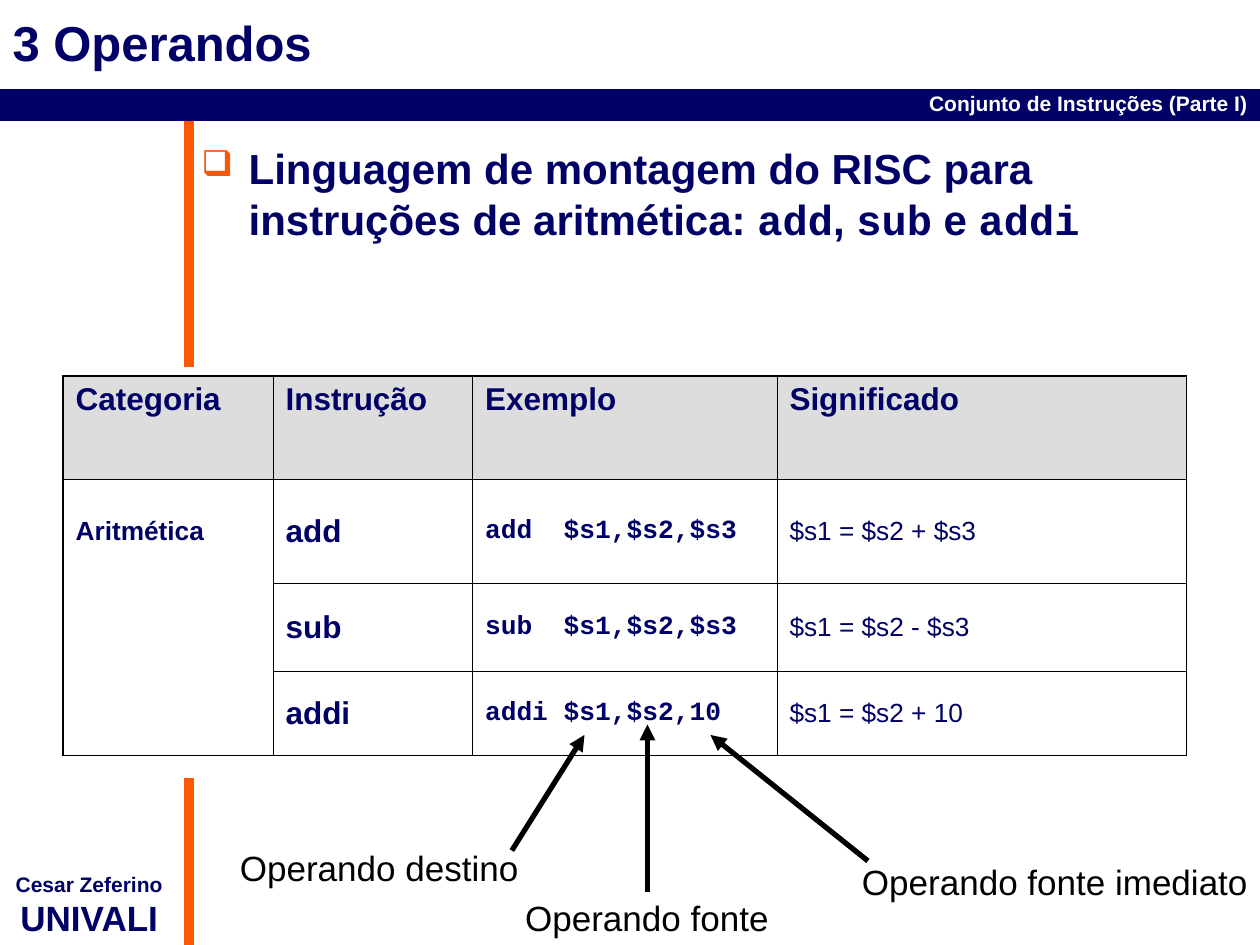
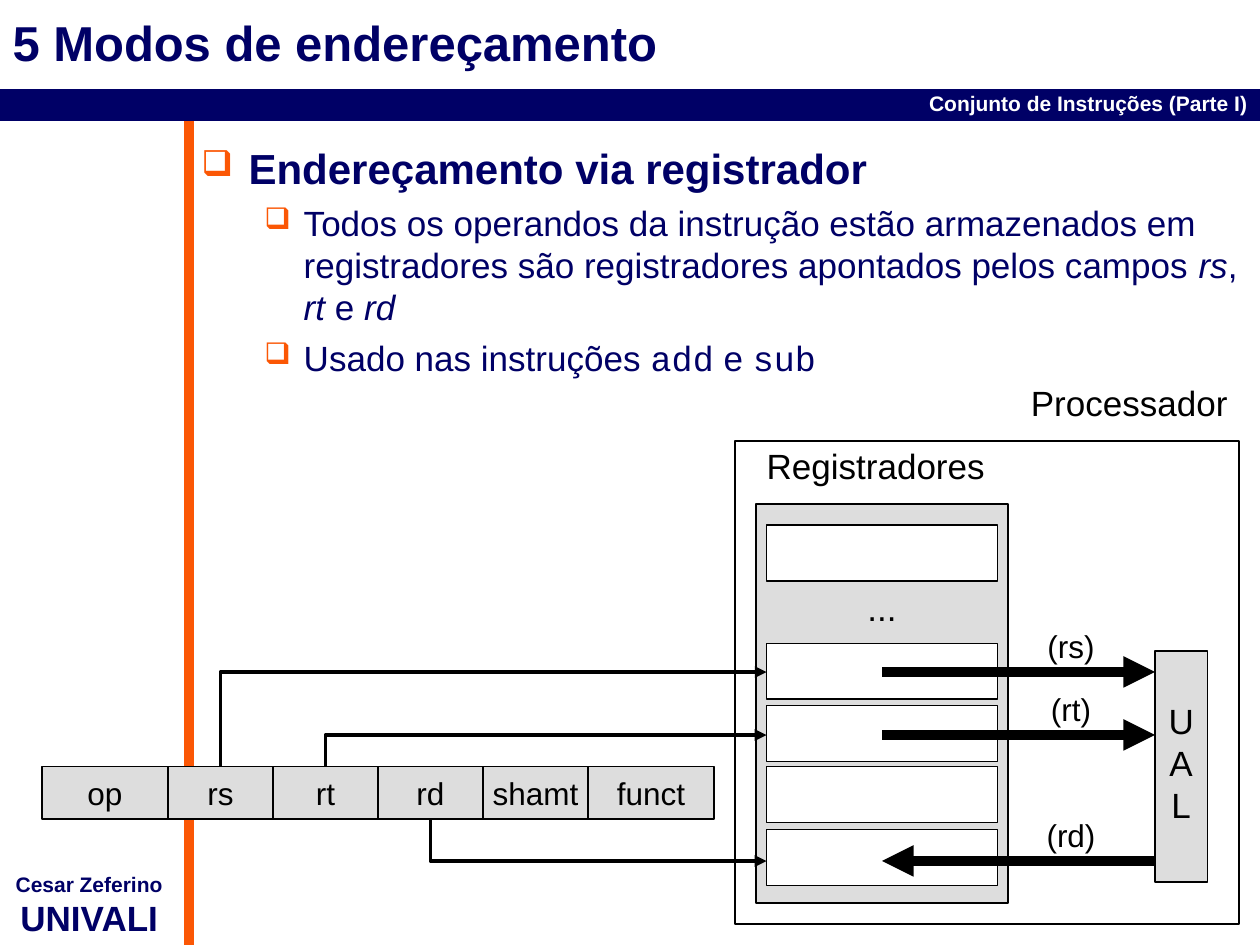
from dataclasses import dataclass
from typing import Optional

import pptx
import pptx.dml.color
import pptx.enum.shapes
import pptx.enum.text
import pptx.oxml.ns
import pptx.util
from lxml import etree

Pt = pptx.util.Pt
Align = pptx.enum.text.PP_ALIGN
Anchor = pptx.enum.text.MSO_ANCHOR
AutoSize = pptx.enum.text.MSO_AUTO_SIZE
qualified = pptx.oxml.ns.qn

NAVY, ORANGE, GRAY = "000066", "FB5705", "DDDDDD"
BLACK, WHITE = "000000", "FFFFFF"
SANS, MONO = "Arial", "Courier New"
TITLE_ONLY_LAYOUT = 5


@dataclass
class Box:
    left: float
    top: float
    width: float
    height: float

    def lengths(self) -> list:
        return [Pt(value) for value in (self.left, self.top, self.width, self.height)]


@dataclass
class Style:
    size: float
    color: str = BLACK
    bold: bool = False
    name: str = SANS


@dataclass
class Run:
    text: str
    name: Optional[str] = None
    italic: Optional[bool] = None


@dataclass
class Level:
    depth: int
    margin: float
    indent: float
    space_before: float
    style: Style


@dataclass
class Item:
    level: Level
    runs: list


@dataclass
class Label:
    text: str
    box: Box


@dataclass
class Arrow:
    start: tuple
    end: tuple
    width: float


TOPIC = Level(0, 27, -27, 24, Style(24, NAVY, True))
DETAIL = Level(1, 58.5, -22.5, 5, Style(20, NAVY))
DIAGRAM = Style(20)
FIELD = Style(18)

OPERAND_LABELS = [
    Label("Operando fonte", Box(293, 509, 154, 31.5)),
    Label("Operando destino", Box(130, 480, 174, 31.5)),
    Label("Operando fonte imediato", Box(485.5, 488, 236, 31.5)),
]
OPERAND_ARROWS = [
    Arrow((292.5, 486), (334, 420), 3),
    Arrow((370, 510), (370, 414), 3),
    Arrow((496, 492), (406, 420), 3),
]
INSTRUCTION_ROWS = [
    ("Categoria", "Instrução", "Exemplo", "Significado"),
    ("Aritmética", "add", "add  $s1,$s2,$s3", "$s1 = $s2 + $s3"),
    ("", "sub", "sub  $s1,$s2,$s3", "$s1 = $s2 - $s3"),
    ("", "addi", "addi $s1,$s2,10", "$s1 = $s2 + 10"),
]
COLUMN_WIDTHS = (120, 114, 174, 234)
ROW_HEIGHTS = (59, 59.5, 50.5, 48)
HEADER_STYLE = Style(18, NAVY, True)
COLUMN_STYLES = (
    Style(15, NAVY, True),
    HEADER_STYLE,
    Style(15, NAVY, True, MONO),
    Style(15, NAVY),
)


def rgb(color: str):
    return pptx.dml.color.RGBColor.from_string(color)


def style_font(font, style: Style) -> None:
    font.size, font.bold, font.name = Pt(style.size), style.bold, style.name
    font.color.rgb = rgb(style.color)


def write_paragraph(paragraph, text: str, style: Style, align=Align.LEFT) -> None:
    paragraph.add_run().text = text
    paragraph.alignment = align
    style_font(paragraph.font, style)


def add_text(slide, text: str, box: Box, style: Style, align=Align.LEFT,
             wrap: bool = False, anchor=Anchor.TOP):
    shape = slide.shapes.add_textbox(*box.lengths())
    frame = shape.text_frame
    frame.word_wrap, frame.vertical_anchor = wrap, anchor
    if not wrap and anchor == Anchor.TOP:
        frame.auto_size = AutoSize.SHAPE_TO_FIT_TEXT
    write_paragraph(frame.paragraphs[0], text, style, align)
    return shape


def add_box(slide, box: Box, fill: str, line: str = BLACK):
    shape = slide.shapes.add_shape(pptx.enum.shapes.MSO_SHAPE.RECTANGLE, *box.lengths())
    shape.shadow.inherit = False
    shape.fill.solid()
    shape.fill.fore_color.rgb = rgb(fill)
    shape.line.color.rgb = rgb(line)
    shape.line.width = Pt(0.75)
    return shape


def style_line(shape, width: float, color: str, arrow: bool) -> None:
    shape.line.color.rgb = rgb(color)
    shape.line.width = Pt(width)
    if arrow:
        line = shape.line._get_or_add_ln()
        etree.SubElement(line, qualified("a:tailEnd"), type="triangle")


def add_line(slide, line: Arrow, color: str = BLACK, arrow: bool = True) -> None:
    connector = slide.shapes.add_connector(
        pptx.enum.shapes.MSO_CONNECTOR.STRAIGHT,
        *[Pt(value) for value in line.start + line.end])
    style_line(connector, line.width, color, arrow)
    etree.SubElement(connector._element.spPr, qualified("a:effectLst"))


def add_pointer(slide, points: list) -> None:
    start, *others = [(Pt(x), Pt(y)) for x, y in points]
    builder = slide.shapes.build_freeform(*start)
    builder.add_line_segments(others, close=False)
    shape = builder.convert_to_shape()
    shape.shadow.inherit = False
    shape.fill.background()
    style_line(shape, 2.25, BLACK, True)


def add_frame(presentation, title_text: str):
    slide = presentation.slides.add_slide(presentation.slide_layouts[TITLE_ONLY_LAYOUT])
    add_line(slide, Arrow((108, 66), (108, 540), 6), ORANGE, False)
    add_line(slide, Arrow((0, 60), (720, 60), 18), NAVY, False)
    add_text(slide, "Conjunto de Instruções (Parte I)", Box(0, 48, 720, 18),
             Style(12, WHITE, True), Align.RIGHT, True)
    author = add_text(slide, "Cesar Zeferino", Box(0, 494.5, 102, 46),
                      Style(12, NAVY, True), Align.CENTER, True)
    author.text_frame.margin_left = author.text_frame.margin_right = 0
    write_paragraph(author.text_frame.add_paragraph(), "UNIVALI",
                    Style(20, NAVY, True), Align.CENTER)

    title = slide.shapes.title
    title.left, title.top, title.width, title.height = Box(0, 0, 720, 48).lengths()
    frame = title.text_frame
    frame.auto_size = AutoSize.NONE
    frame.word_wrap, frame.vertical_anchor = True, Anchor.MIDDLE
    write_paragraph(frame.paragraphs[0], title_text, Style(28, NAVY, True))
    return slide


def add_bullet(paragraph, level: Level) -> None:
    properties = paragraph._p.get_or_add_pPr()
    properties.set("marL", str(Pt(level.margin)))
    properties.set("indent", str(Pt(level.indent)))
    color = etree.SubElement(properties, qualified("a:buClr"))
    etree.SubElement(color, qualified("a:srgbClr"), val=ORANGE)
    etree.SubElement(properties, qualified("a:buSzPct"), val="85000")
    etree.SubElement(properties, qualified("a:buChar"), char="❑")


def add_body(slide, items: list, height: float) -> None:
    frame = slide.shapes.add_textbox(*Box(108, 78, 612, height).lengths()).text_frame
    frame.word_wrap = True
    for index, item in enumerate(items):
        paragraph = frame.add_paragraph() if index else frame.paragraphs[0]
        paragraph.level = item.level.depth
        add_bullet(paragraph, item.level)
        if index:
            paragraph.space_before = Pt(item.level.space_before)
        style_font(paragraph.font, item.level.style)
        for part in item.runs:
            run = paragraph.add_run()
            run.text = part.text
            if part.name:
                run.font.name = part.name
            if part.italic:
                run.font.italic = True


def set_borders(cell, widths: dict) -> None:
    properties = cell._tc.get_or_add_tcPr()
    for position, (side, width) in enumerate(widths.items()):
        line = etree.Element(qualified(f"a:ln{side}"), w=str(Pt(width)))
        if width:
            fill = etree.SubElement(line, qualified("a:solidFill"))
            etree.SubElement(fill, qualified("a:srgbClr"), val=BLACK)
        else:
            etree.SubElement(line, qualified("a:noFill"))
        properties.insert(position, line)


def add_instruction_table(slide) -> None:
    box = Box(36, 214.75, sum(COLUMN_WIDTHS), sum(ROW_HEIGHTS))
    table = slide.shapes.add_table(len(ROW_HEIGHTS), len(COLUMN_WIDTHS), *box.lengths()).table
    table.first_row = table.horz_banding = False
    for column, width in zip(table.columns, COLUMN_WIDTHS):
        column.width = Pt(width)
    for row, height in zip(table.rows, ROW_HEIGHTS):
        row.height = Pt(height)
    last_row, last_column = len(ROW_HEIGHTS) - 1, len(COLUMN_WIDTHS) - 1
    outer, inner = 1.08, 0.45
    for row, texts in enumerate(INSTRUCTION_ROWS):
        for column, text in enumerate(texts):
            cell = table.cell(row, column)
            if row == 0:
                cell.fill.solid()
                cell.fill.fore_color.rgb = rgb(GRAY)
            else:
                cell.fill.background()
                cell.vertical_anchor = Anchor.MIDDLE
            if text:
                style = COLUMN_STYLES[column] if row else HEADER_STYLE
                write_paragraph(cell.text_frame.paragraphs[0], text, style)
            divider = inner if column else 0
            at_bottom = row == last_row or (column == 0 and row == 2)
            set_borders(cell, {
                "L": inner if column else outer,
                "R": outer if column == last_column else inner,
                "T": outer if row == 0 else inner if row == 1 else divider,
                "B": outer if at_bottom else inner if row == 0 else divider,
            })
    table.cell(2, 0).merge(table.cell(3, 0))


def add_operands_slide(presentation) -> None:
    slide = add_frame(presentation, "3 Operandos")
    add_box(slide, Box(90, 210, 30, 234), WHITE, WHITE)
    add_body(slide, [Item(TOPIC, [
        Run("Linguagem de montagem do RISC para instruções de aritmética: "),
        Run("add", MONO), Run(", "), Run("sub", MONO), Run(" e "), Run("addi", MONO),
    ])], 88.5)
    add_instruction_table(slide)
    for arrow in OPERAND_ARROWS:
        add_line(slide, arrow)
    for label in OPERAND_LABELS:
        add_text(slide, label.text, label.box, DIAGRAM)


def add_addressing_slide(presentation) -> None:
    slide = add_frame(presentation, "5 Modos de endereçamento")
    add_body(slide, [
        Item(TOPIC, [Run("Endereçamento via registrador")]),
        Item(DETAIL, [
            Run("Todos os operandos da instrução estão armazenados em registradores "
                "são registradores apontados pelos campos "),
            Run("rs", italic=True), Run(", "), Run("rt", italic=True),
            Run(" e "), Run("rd", italic=True)]),
        Item(DETAIL, [Run("Usado nas instruções "), Run("add", MONO),
                      Run(" e "), Run("sub", MONO)]),
    ], 462)

    field_top, field_height, field_left = 438, 30, 24
    field_centers = {}
    for name in ("op", "rs", "rt", "rd", "shamt", "funct"):
        width = 72 if name in ("op", "funct") else 60
        field = add_box(slide, Box(field_left, field_top, width, field_height), GRAY)
        field.text_frame.word_wrap = False
        field.text_frame.vertical_anchor = Anchor.MIDDLE
        write_paragraph(field.text_frame.paragraphs[0], name, FIELD, Align.CENTER)
        field_centers[name] = field_left + width / 2
        field_left += width

    add_box(slide, Box(420, 252, 288, 276), WHITE)
    add_box(slide, Box(432, 288, 144, 228), GRAY)
    add_text(slide, "Processador", Box(582, 214.5, 128, 31.5), DIAGRAM)
    add_text(slide, "Registradores", Box(431, 250.5, 140, 31.5), DIAGRAM)
    register_left = 438
    for top in (300, 367.5, 403, 438, 474):
        add_box(slide, Box(register_left, top, 132, 32), WHITE)
    add_text(slide, "...", Box(register_left, 331.5, 132, 31.5), DIAGRAM, Align.CENTER, True)

    unit_left = 660
    add_box(slide, Box(unit_left, 372, 30, 132), GRAY)
    unit = add_text(slide, "U", Box(unit_left, 396, 30, 79.5), DIAGRAM, Align.CENTER, True)
    for letter in "AL":
        write_paragraph(unit.text_frame.add_paragraph(), letter, DIAGRAM, Align.CENTER)

    for name, level in (("rs", 384), ("rt", 420), ("rd", 492)):
        ends = [(504, level), (unit_left, level)]
        if name == "rd":
            ends.reverse()
        add_line(slide, Arrow(*ends, 6))
        add_text(slide, f"({name})", Box(582, level - 30, 60, 30), FIELD,
                 Align.CENTER, anchor=Anchor.MIDDLE)
        center = field_centers[name]
        edge = field_top if level < field_top else field_top + field_height
        add_pointer(slide, [(center, edge), (center, level), (register_left, level)])


def main() -> None:
    presentation = pptx.Presentation()
    presentation.slide_width, presentation.slide_height = Pt(720), Pt(540)
    add_operands_slide(presentation)
    add_addressing_slide(presentation)
    presentation.save("out.pptx")


if __name__ == "__main__":
    main()
